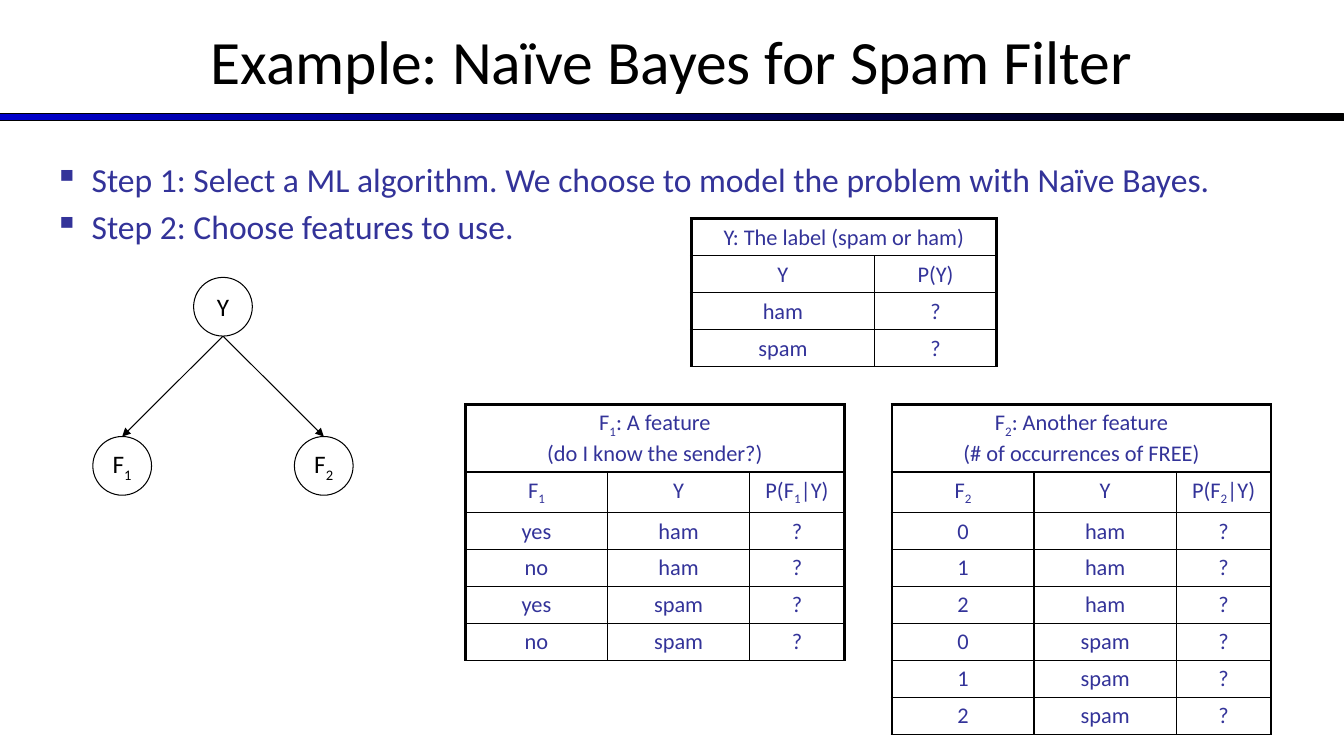
import pptx
import pptx.dml.color
import pptx.enum.shapes
import pptx.enum.text
import pptx.oxml
import pptx.util
from pptx.util import Cm

BLACK, INDIGO, BLUE = "000000", "333399", "0000CC"
NS = 'xmlns:a="http://schemas.openxmlformats.org/drawingml/2006/main"'
CENTER = pptx.enum.text.PP_ALIGN.CENTER
MIDDLE = pptx.enum.text.MSO_ANCHOR.MIDDLE
SHAPES = pptx.enum.shapes.MSO_SHAPE


def rgb(color):
    return pptx.dml.color.RGBColor.from_string(color)


def write(para, text, size, color):
    """Fill a paragraph; the character after an underscore is a subscript."""
    for index, part in enumerate(text.split("_")):
        pieces = [(part[:1], True), (part[1:], False)] if index else [(part, False)]
        for piece, subscript in pieces:
            for number, line in enumerate(piece.split("\n")):
                if number:
                    para.add_line_break()
                if not line:
                    continue
                span = para.add_run()
                span.text = line
                for name, value in {"name": "Calibri", "size": pptx.util.Pt(size)}.items():
                    setattr(span.font, name, value)
                span.font.color.rgb = rgb(color)
                if subscript:
                    span.font._element.set("baseline", "-25000")


deck = pptx.Presentation()
deck.slide_width, deck.slide_height = Cm(33.87), Cm(19.05)
page = deck.slides.add_slide(deck.slide_layouts[6])

# Title and the bar below it
bar = page.shapes.add_shape(SHAPES.RECTANGLE, Cm(0), Cm(2.87), Cm(33.87), Cm(0.18))
bar.shadow.inherit = False
bar.fill.gradient()
bar.fill.gradient_angle = 0
for stop, color in zip(bar.fill.gradient_stops, (BLUE, BLACK)):
    stop.color.rgb = rgb(color)
bar.line.color.rgb = rgb(BLACK)
bar.line.width = pptx.util.Pt(0.75)

title = page.shapes.add_textbox(Cm(0), Cm(-0.08), Cm(33.87), Cm(3.18)).text_frame
title.word_wrap = True
title.vertical_anchor = MIDDLE
title.paragraphs[0].alignment = CENTER
write(title.paragraphs[0], "Example: Naïve Bayes for Spam Filter", 44, BLACK)

# Bayes net: the label Y points to both features
DIAMETER = 1.48
nodes = {"Y": (4.88, 6.99), "F_1": (2.34, 11), "F_2": (7.42, 11)}
for name, (left, top) in nodes.items():
    node = page.shapes.add_shape(SHAPES.OVAL, Cm(left), Cm(top), Cm(DIAMETER), Cm(DIAMETER))
    node.shadow.inherit = False
    node.fill.background()
    node.line.color.rgb = rgb(BLACK)
    node.line.width = pptx.util.Pt(0.75)
    node.text_frame.word_wrap = False
    node.text_frame.vertical_anchor = MIDDLE
    node.text_frame.paragraphs[0].alignment = CENTER
    write(node.text_frame.paragraphs[0], name, 18, BLACK)

label_left, label_top = nodes["Y"]
for feature in ("F_2", "F_1"):
    left, top = nodes[feature]
    arrow = page.shapes.add_connector(
        pptx.enum.shapes.MSO_CONNECTOR.STRAIGHT,
        Cm(label_left + DIAMETER / 2), Cm(label_top + DIAMETER),
        Cm(left + DIAMETER / 2), Cm(top))
    arrow.line.color.rgb = rgb(BLACK)
    arrow.line.width = pptx.util.Pt(0.75)
    arrow.line._get_or_add_ln().append(pptx.oxml.parse_xml(f'<a:tailEnd {NS} type="triangle"/>'))
    arrow._element.spPr.append(pptx.oxml.parse_xml(f"<a:effectLst {NS}/>"))

# Probability tables: left, top, column widths, header height, heading, rows
FEATURE_COLUMNS = (3.58, 3.58, 2.39)
tables = [
    (17.42, 5.51, (4.62, 3.07), 0.86, "Y: The label (spam or ham)",
     [("Y", "P(Y)"), ("ham", "?"), ("spam", "?")]),
    (11.73, 10.19, FEATURE_COLUMNS, 1.5, "F_1: A feature\n(do I know the sender?)",
     [("F_1", "Y", "P(F_1|Y)")]
     + [(known, label, "?") for label in ("ham", "spam") for known in ("yes", "no")]),
    (22.48, 10.19, FEATURE_COLUMNS, 1.5, "F_2: Another feature\n(# of occurrences of FREE)",
     [("F_2", "Y", "P(F_2|Y)")]
     + [(count, label, "?") for label in ("ham", "spam") for count in "012"]),
]
ROW_HEIGHT = 0.86
for left, top, widths, header_height, heading, rows in tables:
    last = len(widths) - 1
    table = page.shapes.add_table(
        len(rows) + 1, len(widths), Cm(left), Cm(top), Cm(sum(widths)),
        Cm(header_height + ROW_HEIGHT * len(rows))).table
    table.first_row = table.horz_banding = False
    for column, width in zip(table.columns, widths):
        column.width = Cm(width)
    for index, row in enumerate(table.rows):
        row.height = Cm(ROW_HEIGHT if index else header_height)
    table.cell(0, 0).merge(table.cell(0, last))

    for r, texts in enumerate([(heading,) + ("",) * last] + rows):
        for c, text in enumerate(texts):
            cell = table.cell(r, c)
            thick = {"L": c == 0, "R": c == last or cell.is_merge_origin, "T": r == 0, "B": False}
            for side, is_thick in thick.items():
                width = pptx.util.Pt(2.25 if is_thick else 1)
                cell._tc.get_or_add_tcPr().append(pptx.oxml.parse_xml(
                    f'<a:ln{side} {NS} w="{width}"><a:solidFill>'
                    f'<a:srgbClr val="{BLACK}"/></a:solidFill></a:ln{side}>'))
            cell.fill.background()
            para = cell.text_frame.paragraphs[0]
            para.alignment = CENTER
            write(para, text, 16, INDIGO)

# Steps
steps = page.shapes.add_textbox(Cm(1.12), Cm(3.89), Cm(31.27), Cm(13.13)).text_frame
steps.word_wrap = True
for index, text in enumerate((
        "Step 1: Select a ML algorithm. We choose to model the problem with Naïve Bayes.",
        "Step 2: Choose features to use.")):
    para = steps.add_paragraph() if index else steps.paragraphs[0]
    para.space_before = pptx.util.Pt(4.8)
    properties = para._p.get_or_add_pPr()
    properties.set("marL", str(Cm(0.94)))
    properties.set("indent", str(-Cm(0.94)))
    for bullet in (f'<a:buClr {NS}><a:srgbClr val="{INDIGO}"/></a:buClr>',
                   f'<a:buChar {NS} char="▪"/>'):
        properties.append(pptx.oxml.parse_xml(bullet))
    write(para, text, 24, INDIGO)

deck.save("out.pptx")
